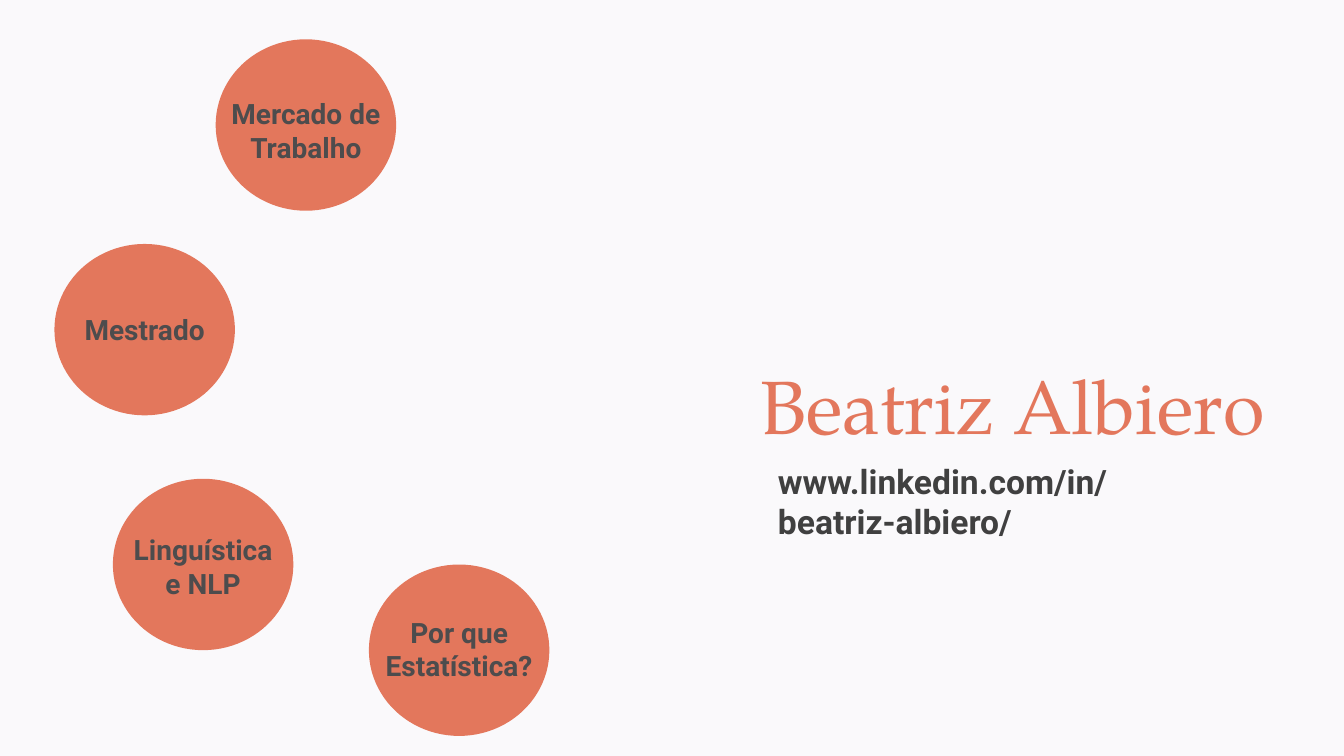
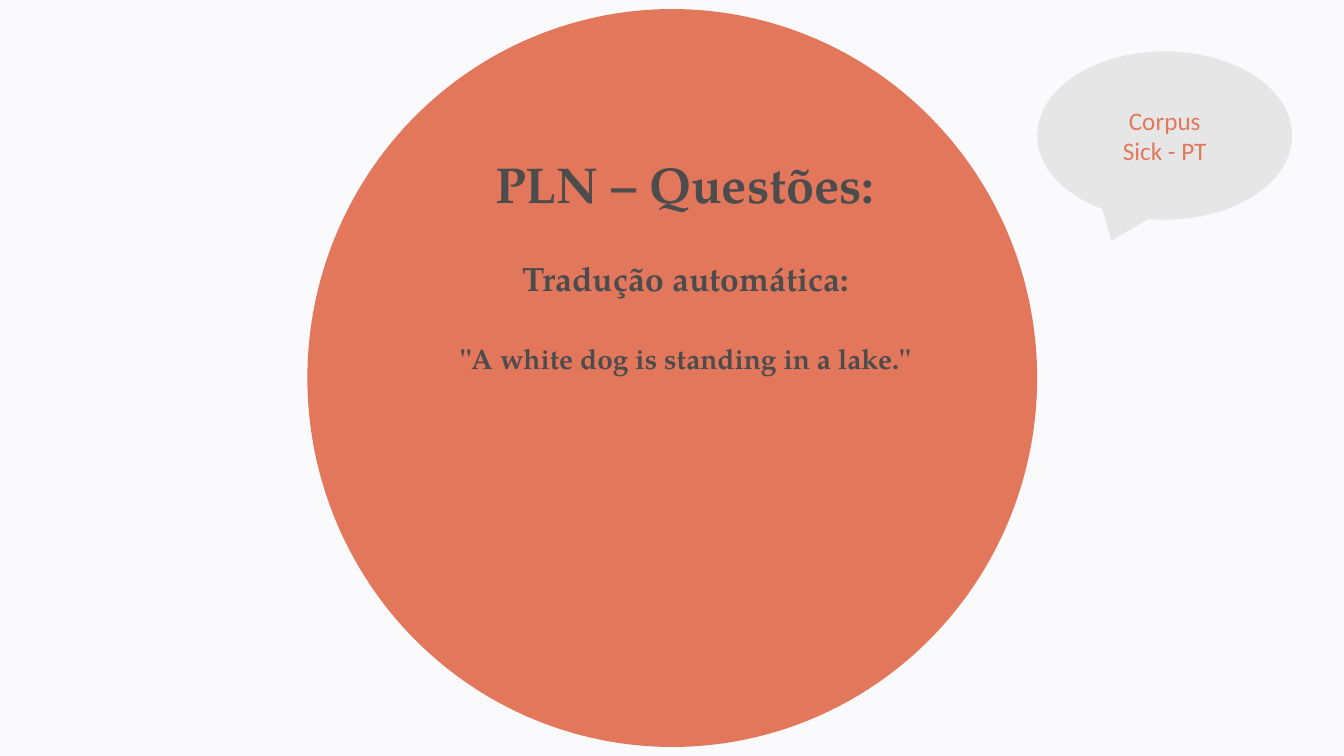
from pptx import Presentation
from pptx.dml.color import RGBColor
from pptx.enum.shapes import MSO_SHAPE
from pptx.enum.text import MSO_ANCHOR, MSO_AUTO_SIZE, PP_ALIGN
from pptx.util import Inches, Pt

ELLIPSE, CALLOUT = MSO_SHAPE.OVAL, MSO_SHAPE.OVAL_CALLOUT
TOP, MIDDLE = MSO_ANCHOR.TOP, MSO_ANCHOR.MIDDLE
LEFT, CENTER = PP_ALIGN.LEFT, PP_ALIGN.CENTER
NO_AUTOFIT = MSO_AUTO_SIZE.NONE
TITLE_ONLY = 5

WIDTH, HEIGHT = Inches(13.333), Inches(7.5)
PAPER, CORAL, PALE = "FAF9FB", "E3775C", "E7E6E6"
INK, DARK = "4D4C4D", "404040"
SERIF, SANS, BODY = "TeX Gyre Pagella", "Roboto", "Calibri"

BUBBLE_SIZE = (13.43, 22.67)
# label, left, top, vertical shift of the label
BUBBLES = [
    ("Por que Estatística?", 27.45, 74.67, -0.2),
    ("Linguística e NLP", 8.4, 63.33, 0.2),
    ("Mestrado", 4.05, 32.27, 0),
    ("Mercado de Trabalho", 16.05, 5.2, 0.73),
]


def color(hex_string):
    return RGBColor.from_string(hex_string)


def place(left, top, width, height):
    """Turn percentages of the slide's size into lengths."""
    return (int(WIDTH * left / 100), int(HEIGHT * top / 100),
            int(WIDTH * width / 100), int(HEIGHT * height / 100))


def write(sp, text, size, font, ink, bold=False, align=CENTER, anchor=TOP):
    tf = sp.text_frame
    tf.text = text
    tf.word_wrap = True
    tf.auto_size = NO_AUTOFIT
    tf.vertical_anchor = anchor
    for p in tf.paragraphs:
        p.alignment = align
        for r in p.runs:
            r.font.size = Pt(size)
            r.font.name = font
            r.font.bold = bold
            r.font.color.rgb = color(ink)


def add_text(s, box, text, size, font, ink, **style):
    write(s.shapes.add_textbox(*place(*box)), text, size, font, ink, **style)


def add_figure(s, kind, box, fill):
    sp = s.shapes.add_shape(kind, *place(*box))
    sp.shadow.inherit = False
    sp.fill.solid()
    sp.fill.fore_color.rgb = color(fill)
    sp.line.fill.background()
    return sp


def set_title(s, box, text, size, ink, **style):
    """Format the title and bring it in front of the figures."""
    sp = s.shapes.title
    sp.left, sp.top, sp.width, sp.height = place(*box)
    write(sp, text, size, SERIF, ink, **style)
    s.shapes.element.append(sp.element)


def add_bubble(s, label, left, top, shift):
    add_figure(s, ELLIPSE, (left, top, *BUBBLE_SIZE), CORAL)
    add_text(s, (left, top + shift, *BUBBLE_SIZE), label, 20, SANS, INK,
             bold=True, anchor=MIDDLE)


def build_profile(s):
    set_title(s, (55.8, 46.8, 41.1, 13.47), "Beatriz Albiero", 54, CORAL,
              align=LEFT)
    add_text(s, (57.15, 60.27, 29.63, 12.13),
             "www.linkedin.com/in/beatriz-albiero/", 24, SANS, DARK,
             bold=True, align=LEFT)
    for bubble in BUBBLES:
        add_bubble(s, *bubble)


def build_questions(s):
    add_figure(s, ELLIPSE, (22.87, 1.2, 54.3, 97.6), CORAL)
    set_title(s, (29.25, 19.6, 43.42, 9.47), "PLN – Questões:", 36, INK,
              bold=True)
    add_text(s, (29.85, 33.47, 42.3, 6.67), "Tradução automática:",
             24, SERIF, INK, bold=True)
    add_text(s, (30.6, 44.53, 40.8, 5.87),
             '"A white dog is standing in a lake."', 20, SERIF, INK, bold=True)
    callout = add_figure(s, CALLOUT, (77.18, 6.8, 18.97, 22.27), PALE)
    write(callout, "Corpus\nSick - PT", 18, BODY, CORAL, anchor=MIDDLE)


def main():
    prs = Presentation()
    prs.slide_width, prs.slide_height = WIDTH, HEIGHT
    background = prs.slide_master.background.fill
    background.solid()
    background.fore_color.rgb = color(PAPER)
    for build in (build_profile, build_questions):
        build(prs.slides.add_slide(prs.slide_layouts[TITLE_ONLY]))
    prs.save("out.pptx")


if __name__ == "__main__":
    main()
